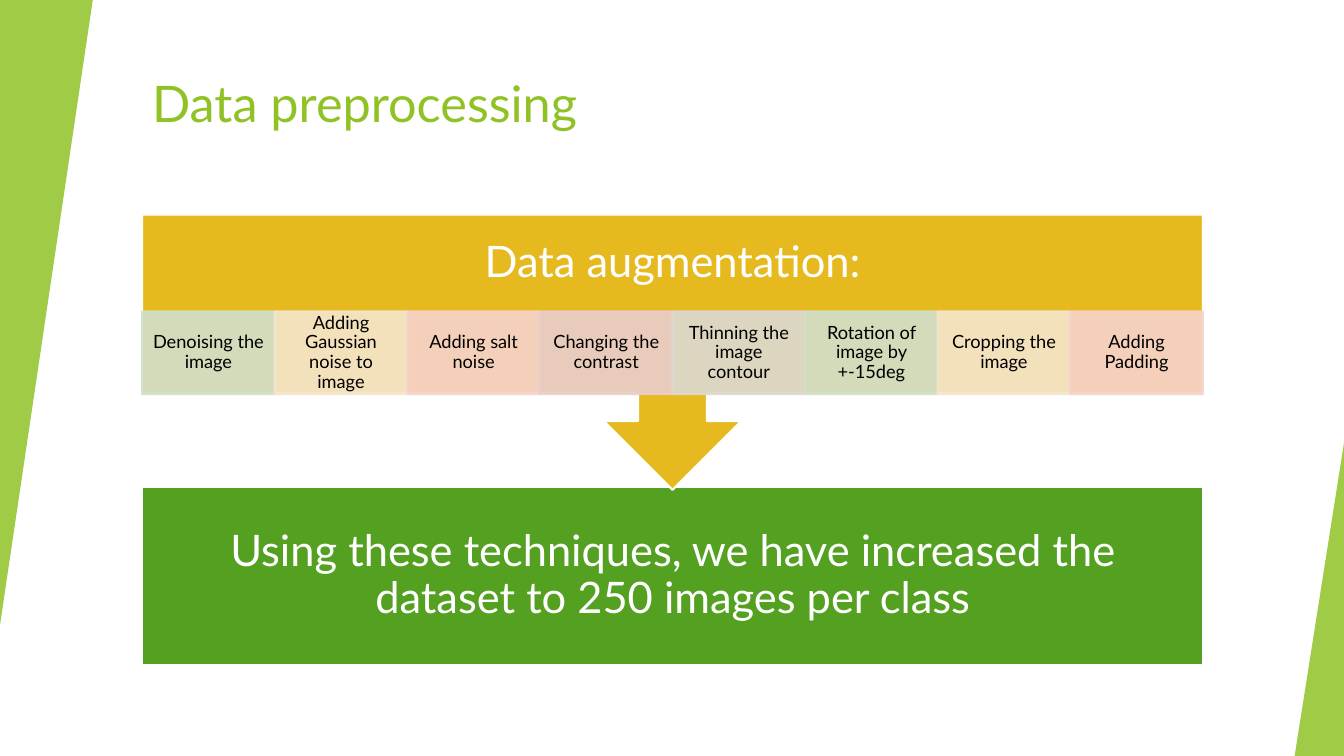
from lxml import etree
from pptx import Presentation
from pptx.dml.color import RGBColor
from pptx.enum.shapes import MSO_SHAPE
from pptx.enum.text import MSO_ANCHOR, PP_ALIGN
from pptx.oxml.ns import qn
from pptx.util import Inches, Pt

RECT = MSO_SHAPE.RECTANGLE
TRIANGLE = MSO_SHAPE.ISOSCELES_TRIANGLE
ARROW_CALLOUT = MSO_SHAPE.DOWN_ARROW_CALLOUT
MIDDLE = MSO_ANCHOR.MIDDLE
CENTER = PP_ALIGN.CENTER

LIME = RGBColor(0x90, 0xC2, 0x26)
GREEN = RGBColor(0x54, 0xA0, 0x21)
GOLD = RGBColor(0xE6, 0xB9, 0x1E)
WHITE = RGBColor(0xFF, 0xFF, 0xFF)
BLACK = RGBColor(0, 0, 0)
PALE_GREEN = RGBColor(0xD1, 0xDF, 0xCD)
PALE_GOLD = RGBColor(0xF5, 0xE6, 0xCD)
PALE_ORANGE = RGBColor(0xF6, 0xD3, 0xCC)
PALE_RED = RGBColor(0xEA, 0xCD, 0xCD)
PALE_GREY = RGBColor(0xDC, 0xD9, 0xD1)
FONT = "Lato"

prs = Presentation()
prs.slide_width, prs.slide_height = Inches(13.33), Inches(7.5)
slide = prs.slides.add_slide(prs.slide_layouts[6])


def add_filled(kind, box, fill, line=None, opacity=100):
    shape = slide.shapes.add_shape(kind, *map(Inches, box))
    shape.shadow.inherit = False
    shape.fill.solid()
    shape.fill.fore_color.rgb = fill
    if line is None:
        shape.line.fill.background()
    else:
        shape.line.color.rgb = line
        shape.line.width = Pt(1.5)
    if opacity < 100:
        for color in shape._element.spPr.iter(qn("a:srgbClr")):
            etree.SubElement(color, qn("a:alpha"), val=str(opacity * 1000))
    return shape


def write_centered(shape, text, size, color, insets):
    frame = shape.text_frame
    frame.word_wrap = True
    frame.vertical_anchor = MIDDLE
    (frame.margin_left, frame.margin_top,
     frame.margin_right, frame.margin_bottom) = map(Inches, insets)
    paragraph = frame.paragraphs[0]
    paragraph.text = text
    paragraph.alignment = CENTER
    paragraph.line_spacing = 0.9
    paragraph.font.name = FONT
    paragraph.font.size = Pt(size)
    paragraph.font.color.rgb = color


# Title
title = slide.shapes.add_textbox(Inches(1.41), Inches(0.67), Inches(11.15), Inches(1.2))
title.text_frame.word_wrap = True
heading = title.text_frame.paragraphs[0]
heading.text = "Data preprocessing"
heading.font.name = FONT
heading.font.size = Pt(36)
heading.font.color.rgb = LIME

# Slanted edges
left_edge = add_filled(TRIANGLE, (0, 0, 0.92, 6.2), LIME, opacity=85)
left_edge.rotation = 180
right_edge = add_filled(TRIANGLE, (12.84, 4.39, 0.49, 3.11), LIME, opacity=85)
for edge in (left_edge, right_edge):
    edge.adjustments[0] = 1

# Result, with the augmentation callout pointing at it
LEFT, WIDTH = 1.41, 10.52
result = add_filled(RECT, (LEFT, 4.83, WIDTH, 1.77), GREEN, WHITE)
write_centered(result, "Using these techniques, we have increased the dataset to "
               "250 images per class", 31, WHITE, (0.24, 0.24, 0.24, 0.24))
augmentation = add_filled(ARROW_CALLOUT, (LEFT, 2.13, WIDTH, 2.73), GOLD, WHITE)
# The deep bottom inset keeps the heading above the row of techniques
write_centered(augmentation, "Data augmentation:", 31, WHITE, (0.24, 0.24, 0.24, 1.05))

# Row of techniques
techniques = [
    ("Denoising the image", PALE_GREEN),
    ("Adding Gaussian noise to image", PALE_GOLD),
    ("Adding salt noise", PALE_ORANGE),
    ("Changing the contrast", PALE_RED),
    ("Thinning the image contour", PALE_GREY),
    ("Rotation of image by +-15deg", PALE_GREEN),
    ("Cropping the image", PALE_GOLD),
    ("Adding Padding", PALE_ORANGE),
]
step = WIDTH / len(techniques)
for i, (name, tint) in enumerate(techniques):
    technique = add_filled(RECT, (LEFT + i * step, 3.09, step, 0.82), tint, tint, 90)
    write_centered(technique, name, 13, BLACK, (0.1, 0.02, 0.1, 0.02))

prs.save("out.pptx")
